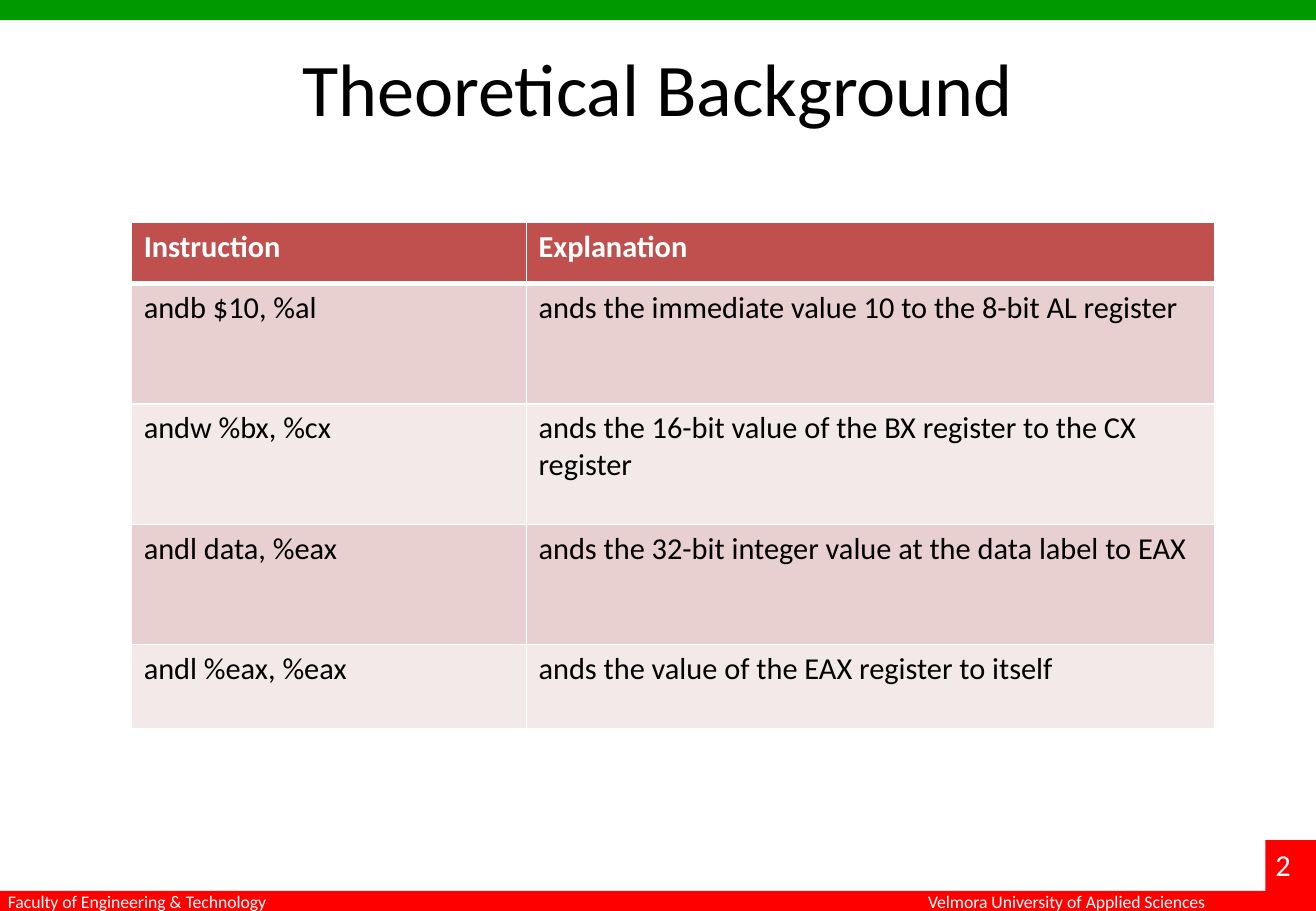
from collections import namedtuple
from lxml.etree import SubElement
from pptx import Presentation
from pptx.dml.color import RGBColor
from pptx.enum.shapes import MSO_SHAPE as Preset
from pptx.enum.text import MSO_ANCHOR as Anchor, PP_ALIGN as Align
from pptx.oxml.ns import qn
from pptx.util import Inches, Pt

COLORS = {
    "green": "009900", "red": "FF0000", "white": "FFFFFF", "black": "000000",
    "header": "C0504D", "odd": "E8D0D0", "even": "F4E9E9",
}
FONT = "Calibri"
COLUMNS, ROWS = 130, 90
UNIT = Inches(1) / 12
Box = namedtuple("Box", "left top width height")

INSTRUCTIONS = [
    ("Instruction", "Explanation"),
    ("andb $10, %al ", "ands the immediate value 10 to the 8-bit AL register"),
    ("andw %bx, %cx ", "ands the 16-bit value of the BX register to the CX register"),
    ("andl data, %eax ", "ands the 32-bit integer value at the data label to EAX"),
    ("andl %eax, %eax", "ands the value of the EAX register to itself"),
]


def grid(*lengths):
    """Turn grid columns and rows into slide lengths."""
    return [round(length * UNIT) for length in lengths]


def color(name):
    """Look up a colour by name."""
    return RGBColor.from_string(COLORS[name])


def write(frame, text, size=18, tint="black", bold=False, align=Align.LEFT):
    """Put formatted text in a text frame."""
    frame.word_wrap = True
    frame.vertical_anchor = Anchor.TOP
    paragraph = frame.paragraphs[0]
    paragraph.alignment = align
    run = paragraph.add_run()
    run.text = text
    run.font.name, run.font.size, run.font.bold = FONT, Pt(size), bold
    run.font.color.rgb = color(tint)


def add_bar(slide, box, tint):
    """Draw a plain filled rectangle."""
    shape = slide.shapes.add_shape(Preset.RECTANGLE, *grid(*box))
    shape.shadow.inherit = False
    shape.fill.solid()
    shape.fill.fore_color.rgb = color(tint)
    shape.line.fill.background()


def add_label(slide, box, text, **style):
    """Add a white text box."""
    label = slide.shapes.add_textbox(*grid(*box))
    write(label.text_frame, text, tint="white", **style)


def add_border(cell, side, points):
    """Draw a white line on one side of a cell."""
    line = SubElement(cell._tc.get_or_add_tcPr(), qn(f"a:{side}"), w=str(Pt(points)))
    fill = SubElement(line, qn("a:solidFill"))
    SubElement(fill, qn("a:srgbClr"), val=COLORS["white"])


def add_title(slide, box, text):
    """Place the slide title."""
    title = slide.shapes.title
    title.left, title.top, title.width, title.height = grid(*box)
    write(title.text_frame, text, size=44, align=Align.CENTER)


def add_footer(slide, box, faculty, university, number):
    """Draw the bottom bar with its labels and page number."""
    right = box.left + box.width
    text_top = box.top - 0.6
    add_bar(slide, box, "red")
    add_bar(slide, Box(right - 5, box.top - 5, 5, 7), "red")
    add_label(slide, Box(box.left - 0.4, text_top, 30, 3.3), faculty, size=10.5)
    add_label(slide, Box(right - 39.5, text_top, 32, 3.3), university, size=10.5)
    add_label(slide, Box(right - 5.2, box.top - 5, 5.2, 4.8), number)


def add_instruction_table(slide, box, records, widths, heights):
    """Build the table of instructions."""
    frame = slide.shapes.add_table(len(records), len(widths), *grid(*box))
    table = frame.table
    for column, width in zip(table.columns, grid(*widths)):
        column.width = width
    for index, (row, height, record) in enumerate(zip(table.rows, grid(*heights), records)):
        row.height = height
        header = index == 0
        fill = "header" if header else "odd" if index % 2 else "even"
        for cell, text in zip(row.cells, record):
            write(cell.text_frame, text, tint="white" if header else "black", bold=header)
            for side in ("lnL", "lnR", "lnT", "lnB"):
                thick = (header and side == "lnB") or (index == 1 and side == "lnT")
                add_border(cell, side, 3 if thick else 1)
            cell.fill.solid()
            cell.fill.fore_color.rgb = color(fill)


def build_slide(presentation):
    """Compose the theory slide."""
    slide = presentation.slides.add_slide(presentation.slide_layouts[5])
    add_bar(slide, Box(0, 0, COLUMNS, 2), "green")
    add_footer(slide, Box(0, ROWS - 2, COLUMNS, 2), "Faculty of Engineering & Technology",
               "Velmora University of Applied Sciences", "2")
    add_title(slide, Box(6.5, 3.6, 117, 15), "Theoretical Background")
    add_instruction_table(slide, Box(13, 22, 107, 50), INSTRUCTIONS,
                          widths=(39, 68), heights=(6, 11.9, 11.9, 11.9, 8.3))


presentation = Presentation()
presentation.slide_width, presentation.slide_height = grid(COLUMNS, ROWS)
build_slide(presentation)
presentation.save("out.pptx")
